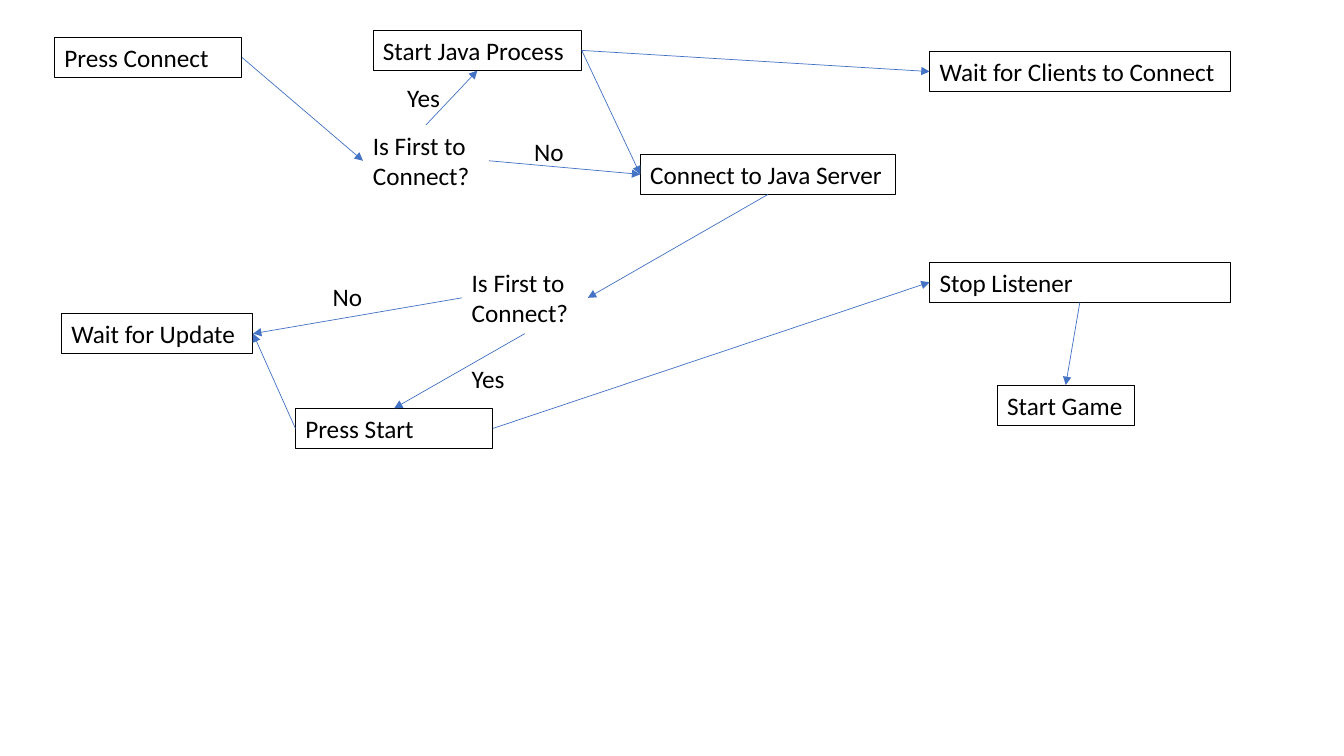
from pptx import Presentation
from pptx.dml.color import RGBColor
from pptx.enum.shapes import MSO_CONNECTOR
from pptx.enum.text import MSO_AUTO_SIZE
from pptx.util import Inches, Pt
from lxml.etree import SubElement
from pptx.oxml.ns import qn

COLORS = {"text": "000000", "border": "000000", "arrow": "4472C4"}
FONT = {"name": "Calibri", "size": Pt(18)}
LINE_HEIGHT, TWO_LINE_HEIGHT = 0.4, 0.71
TOP, LEFT, BOTTOM, RIGHT = range(4)  # connection sites of a rectangle

# Steps: key -> (text, left, top, width, wraps)
STEPS = {
    "press connect": ("Press Connect", 0.54, 0.37, 1.86, True),
    "connect": ("Connect to Java Server", 6.35, 1.53, 2.53, False),
    "start java": ("Start Java Process", 3.7, 0.3, 2.07, True),
    "wait clients": ("Wait for Clients to Connect", 9.22, 0.51, 2.98, True),
    "wait update": ("Wait for Update", 0.61, 3.11, 1.9, True),
    "press start": ("Press Start", 2.93, 4.05, 1.96, True),
    "stop listener": ("Stop Listener", 9.22, 2.6, 2.98, True),
    "start game": ("Start Game", 9.89, 3.82, 1.36, False),
}

# Questions: key -> (text, left, top, width)
QUESTIONS = {
    "first to launch": ("Is First to Connect?", 3.6, 1.24, 1.25),
    "first to play": ("Is First to Connect?", 4.58, 2.6, 1.25),
}

# Answers: (text, left, top, width)
ANSWERS = [
    ("Yes", 3.94, 0.77, 0.53),
    ("No", 5.2, 1.3, 0.5),
    ("No", 3.2, 2.74, 0.5),
    ("Yes", 4.58, 3.56, 0.53),
]

# Arrows: (from, site, to, site)
ARROWS = [
    ("press connect", RIGHT, "first to launch", LEFT),
    ("first to launch", TOP, "start java", BOTTOM),
    ("first to launch", RIGHT, "connect", LEFT),
    ("start java", RIGHT, "connect", LEFT),
    ("start java", RIGHT, "wait clients", LEFT),
    ("connect", BOTTOM, "first to play", RIGHT),
    ("first to play", LEFT, "wait update", RIGHT),
    ("first to play", BOTTOM, "press start", TOP),
    ("press start", LEFT, "wait update", RIGHT),
    ("press start", RIGHT, "stop listener", LEFT),
    ("stop listener", BOTTOM, "start game", TOP),
]

deck = Presentation()
deck.slide_width, deck.slide_height = Inches(13.33), Inches(7.5)
page = deck.slides.add_slide(deck.slide_layouts[6])


def add_text(text, left, top, width, height=LINE_HEIGHT, wraps=True):
    box = page.shapes.add_textbox(*map(Inches, (left, top, width, height)))
    frame = box.text_frame
    frame.word_wrap = wraps
    frame.auto_size = MSO_AUTO_SIZE.SHAPE_TO_FIT_TEXT
    span = frame.paragraphs[0].add_run()
    span.text = text
    for name, value in FONT.items():
        setattr(span.font, name, value)
    span.font.color.rgb = RGBColor.from_string(COLORS["text"])
    return box


def set_line(shape, color, width):
    shape.line.color.rgb = RGBColor.from_string(COLORS[color])
    shape.line.width = Pt(width)


def add_arrow(start, start_site, end, end_site):
    arrow = page.shapes.add_connector(MSO_CONNECTOR.STRAIGHT, 0, 0, 0, 0)
    arrow.begin_connect(start, start_site)
    arrow.end_connect(end, end_site)
    set_line(arrow, "arrow", 0.5)
    SubElement(arrow.line._get_or_add_ln(), qn("a:tailEnd"), type="triangle")
    SubElement(arrow._element.spPr, qn("a:effectLst"))


# Bordered steps
nodes = {}
for key, (text, left, top, width, wraps) in STEPS.items():
    nodes[key] = add_text(text, left, top, width, wraps=wraps)
    set_line(nodes[key], "border", 0.75)

# Questions and their answers
for key, question in QUESTIONS.items():
    nodes[key] = add_text(*question, height=TWO_LINE_HEIGHT)
for answer in ANSWERS:
    add_text(*answer, wraps=False)

# Arrows glued to the boxes
for start, start_site, end, end_site in ARROWS:
    add_arrow(nodes[start], start_site, nodes[end], end_site)

deck.save("out.pptx")
